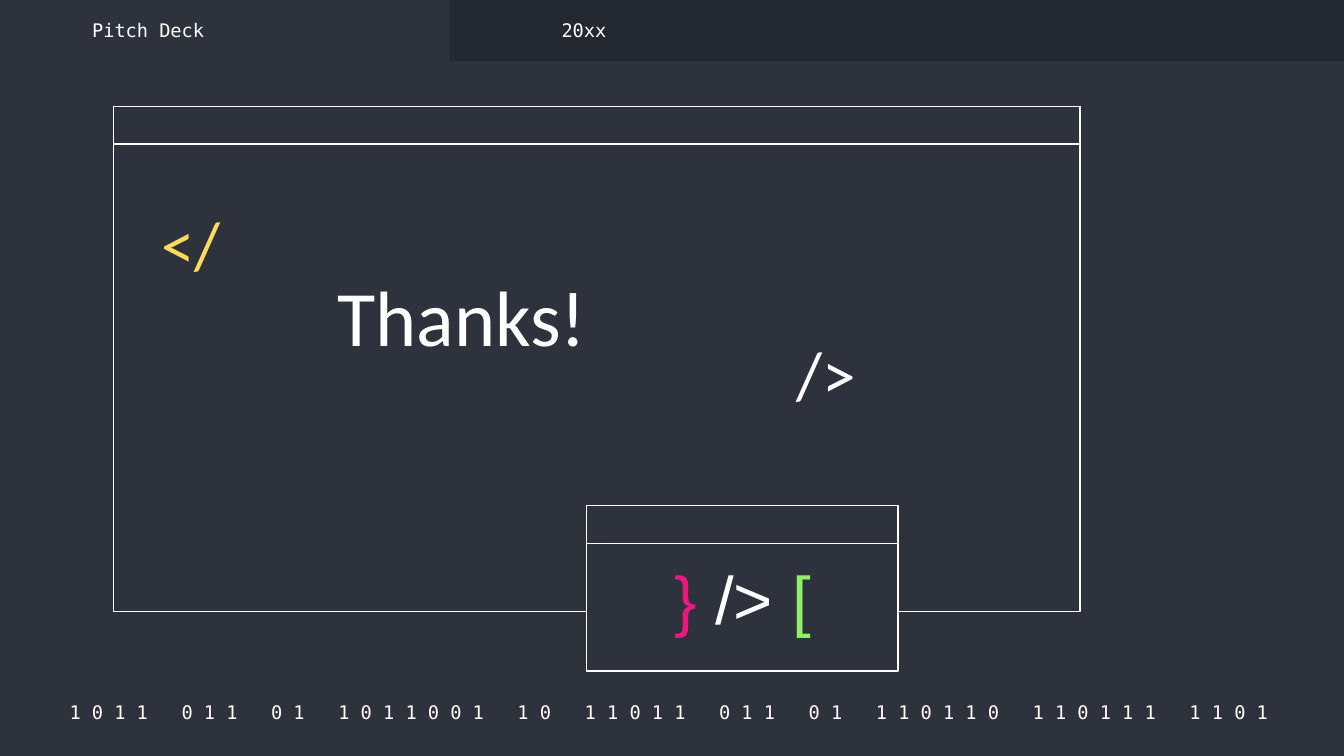
import dataclasses
import typing

import pptx
import pptx.dml.color
import pptx.enum.shapes
import pptx.enum.text
import pptx.util

RGBColor = pptx.dml.color.RGBColor
SLATE = RGBColor(0x2D, 0x32, 0x3C)
INK = RGBColor(0x24, 0x28, 0x30)
WHITE = RGBColor(0xFF, 0xFF, 0xFF)
YELLOW = RGBColor(0xFF, 0xDB, 0x5D)
PINK = RGBColor(0xE8, 0x19, 0x81)
GREEN = RGBColor(0x94, 0xEE, 0x6B)

MONO, SANS, SYMBOLS = "DejaVu Sans Mono", "Calibri", "Arial"
TOP = pptx.enum.text.MSO_ANCHOR.TOP
MIDDLE = pptx.enum.text.MSO_ANCHOR.MIDDLE
LEFT = pptx.enum.text.PP_ALIGN.LEFT
CENTER = pptx.enum.text.PP_ALIGN.CENTER

WIDTH = pptx.util.Inches(10)
HEIGHT = WIDTH * 9 // 16
CELL = WIDTH / 100
BAR_ROWS = 2.8
BITS = "1011 011 01 1011001 10 11011 011 01 110110 110111 1101"


class Area(typing.NamedTuple):
    column: float
    row: float
    columns: float
    rows: float

    def emu(self) -> list[int]:
        return [round(cells * CELL) for cells in self]


class Piece(typing.NamedTuple):
    text: str
    color: RGBColor


@dataclasses.dataclass(frozen=True)
class Label:
    area: Area
    pieces: tuple[Piece, ...]
    font: str
    size: float
    align: typing.Any = LEFT
    anchor: typing.Any = MIDDLE
    spacing: float = 1.0
    side_inset: float = 1


WINDOWS = (Area(8.43, 7.93, 71.93, 37.6), Area(43.66, 37.63, 23.17, 12.3))
BINARY = Label(
    Area(3.8, 52, 92.7, 2),
    (Piece("   ".join(" ".join(word) for word in BITS.split()) + " ", WHITE),),
    MONO, 10, align=CENTER,
)
TITLE = Label(
    Area(25.1, 18.95, 23.2, 10.9), (Piece("Thanks!", WHITE),),
    SANS, 42, anchor=TOP, side_inset=0,
)
LABELS = (
    Label(Area(5.87, 1.25, 21.9, 2), (Piece("Pitch Deck", WHITE),), MONO, 10),
    Label(Area(40.8, 1.25, 21.9, 2), (Piece("20xx", WHITE),), MONO, 10),
    Label(
        Area(48.6, 41.14, 13.3, 8.2),
        (Piece("}", PINK), Piece(" /> ", WHITE), Piece("[", GREEN)),
        SYMBOLS, 36, align=CENTER, anchor=TOP, spacing=0.9,
    ),
    Label(Area(11.03, 15.14, 7.7, 6.6), (Piece("</", YELLOW),), SANS, 36, spacing=0.9),
    Label(Area(58.3, 24.8, 7.7, 6.6), (Piece("/>", WHITE),), SANS, 36, spacing=0.9),
)


def draw_box(slide, area: Area, fill: RGBColor, outlined: bool = True) -> None:
    box = slide.shapes.add_shape(
        pptx.enum.shapes.MSO_SHAPE.RECTANGLE, *area.emu()
    )
    box.shadow.inherit = False
    box.fill.solid()
    box.fill.fore_color.rgb = fill
    if outlined:
        box.line.color.rgb = WHITE
        box.line.width = pptx.util.Pt(0.75)
    else:
        box.line.fill.background()


def draw_window(slide, area: Area) -> None:
    draw_box(slide, area, SLATE)
    draw_box(slide, area._replace(rows=BAR_ROWS), SLATE)


def write_label(holder, label: Label) -> None:
    holder.left, holder.top, holder.width, holder.height = label.area.emu()
    frame = holder.text_frame
    frame.word_wrap = True
    frame.auto_size = pptx.enum.text.MSO_AUTO_SIZE.NONE
    frame.vertical_anchor = label.anchor
    frame.margin_left = frame.margin_right = round(label.side_inset * CELL)
    frame.margin_top = frame.margin_bottom = round(CELL)
    paragraph = frame.paragraphs[0]
    paragraph.alignment = label.align
    paragraph.line_spacing = label.spacing
    for piece in label.pieces:
        run = paragraph.add_run()
        run.text = piece.text
        run.font.name = label.font
        run.font.size = pptx.util.Pt(label.size)
        run.font.color.rgb = piece.color


def draw_label(slide, label: Label) -> None:
    write_label(slide.shapes.add_textbox(*label.area.emu()), label)


def main() -> None:
    deck = pptx.Presentation()
    deck.slide_width, deck.slide_height = WIDTH, HEIGHT
    slide = deck.slides.add_slide(deck.slide_layouts.get_by_name("Title Only"))
    slide.background.fill.solid()
    slide.background.fill.fore_color.rgb = SLATE

    draw_label(slide, BINARY)
    draw_box(slide, Area(33.46, 0, 66.54, 4.53), INK, outlined=False)
    for window in WINDOWS:
        draw_window(slide, window)
    for label in LABELS:
        draw_label(slide, label)

    heading = slide.shapes.title
    write_label(heading, TITLE)
    heading.element.getparent().append(heading.element)
    deck.save("out.pptx")


if __name__ == "__main__":
    main()
